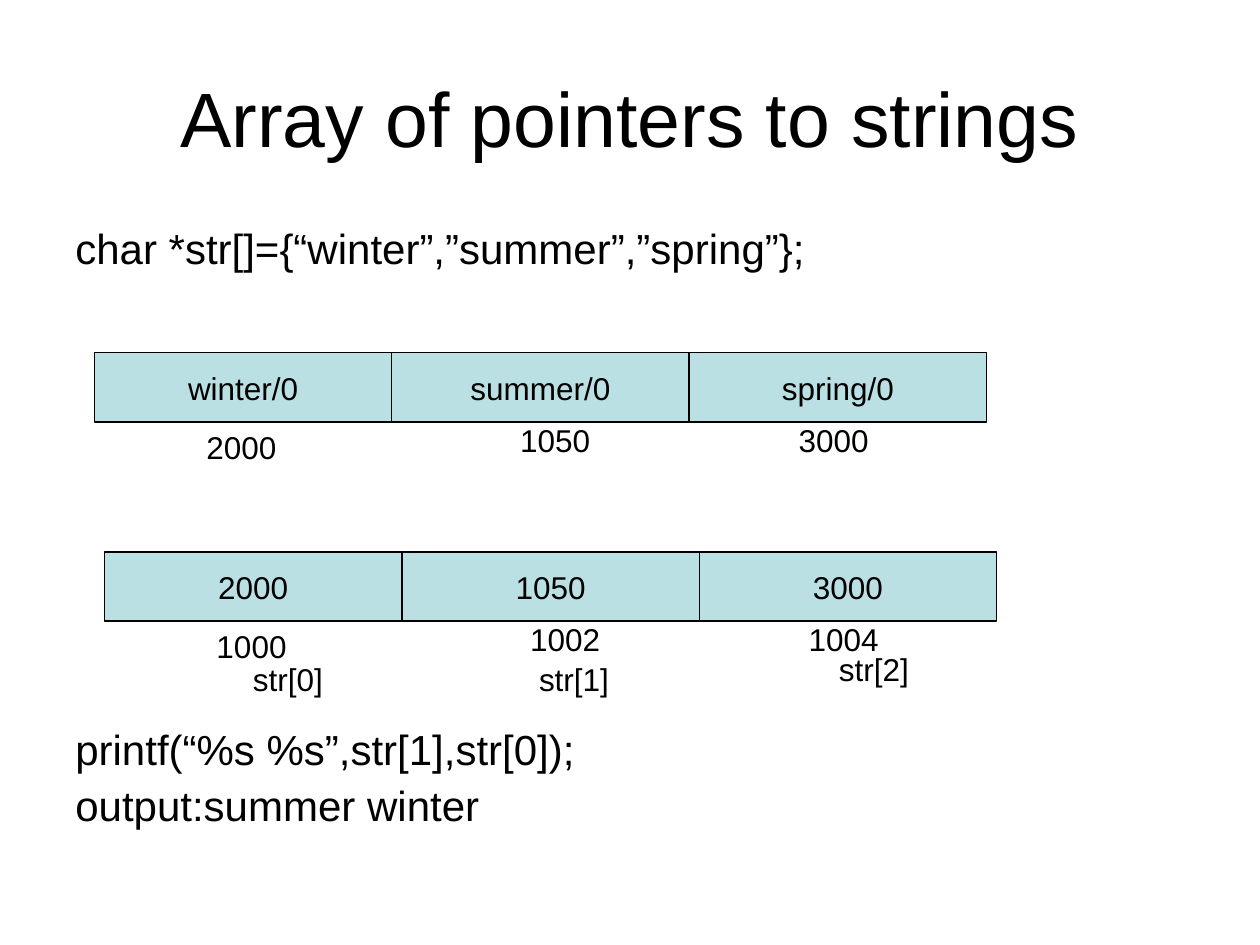
from pptx import Presentation
from pptx.dml.color import RGBColor
from pptx.enum import shapes, text
from pptx.util import Inches, Pt

BLACK = RGBColor(0x00, 0x00, 0x00)
PALE_TEAL = RGBColor(0xBB, 0xE0, 0xE3)
FONT = "Arial"

TITLE = "Array of pointers to strings"
# Code blocks: top, lines
CODE_BLOCKS = [
    (1.76, ["char *str[]={“winter”,”summer”,”spring”};"]),
    (5.74, ["printf(“%s %s”,str[1],str[0]);", "output:summer winter"]),
]
# Memory rows: left, top, cell contents, addresses below the cells
MEMORY_ROWS = [
    (0.75, 2.8, ["winter/0", "summer/0", "spring/0"], ["2000", "1050", "3000"]),
    (0.83, 4.38, ["2000", "1050", "3000"], ["1000", "1002", "1004"]),
]
# Address offsets from the row's left and top
ADDRESS_OFFSETS = [(0.79, 0.55), (3.28, 0.49), (5.49, 0.49)]
# Element names: text, left, top
ELEMENT_NAMES = [("str[0]", 1.91, 5.19), ("str[1]", 4.18, 5.19), ("str[2]", 6.56, 5.11)]
CELL_WIDTH, CELL_HEIGHT = 2.36, 0.55
LABEL_WIDTH, LABEL_HEIGHT = 0.8, 0.4


def write(shape, lines, size, align=text.PP_ALIGN.LEFT,
          anchor=text.MSO_ANCHOR.TOP):
    frame = shape.text_frame
    frame.text = "\n".join(lines)
    frame.word_wrap = True
    frame.vertical_anchor = anchor
    for paragraph in frame.paragraphs:
        paragraph.alignment = align
        for run in paragraph.runs:
            run.font.name = FONT
            run.font.size = Pt(size)
            run.font.color.rgb = BLACK
    return frame


def add_text(slide, left, top, width, height, lines, size, **options):
    box = slide.shapes.add_textbox(
        Inches(left), Inches(top), Inches(width), Inches(height))
    return write(box, lines, size, **options)


def add_label(slide, label, left, top):
    add_text(slide, left, top, LABEL_WIDTH, LABEL_HEIGHT, [label], 18)


def add_cell(slide, content, left, top):
    cell = slide.shapes.add_shape(
        shapes.MSO_SHAPE.RECTANGLE, Inches(left), Inches(top),
        Inches(CELL_WIDTH), Inches(CELL_HEIGHT))
    cell.shadow.inherit = False
    cell.fill.solid()
    cell.fill.fore_color.rgb = PALE_TEAL
    cell.line.color.rgb = BLACK
    cell.line.width = Pt(0.75)
    write(cell, [content], 18, text.PP_ALIGN.CENTER, text.MSO_ANCHOR.MIDDLE)


def main():
    presentation = Presentation()
    presentation.slide_width = Inches(10)
    presentation.slide_height = Inches(7.5)
    slide = presentation.slides.add_slide(presentation.slide_layouts[6])

    # Title
    add_text(slide, 0.5, 0.3, 9, 1.25, [TITLE], 44,
             align=text.PP_ALIGN.CENTER, anchor=text.MSO_ANCHOR.MIDDLE)

    # Code above and below the diagram
    for top, lines in CODE_BLOCKS:
        frame = add_text(slide, 0.5, top, 9, 0.5 * len(lines), lines, 24)
        for index, paragraph in enumerate(frame.paragraphs):
            paragraph.line_spacing = 0.9
            if index:
                paragraph.space_before = Pt(6)

    # Memory cells with their addresses
    for left, top, contents, addresses in MEMORY_ROWS:
        for column, content in enumerate(contents):
            add_cell(slide, content, left + column * CELL_WIDTH, top)
        for address, (across, down) in zip(addresses, ADDRESS_OFFSETS):
            add_label(slide, address, left + across, top + down)

    # Names of the array elements
    for name, left, top in ELEMENT_NAMES:
        add_label(slide, name, left, top)

    presentation.save("out.pptx")


if __name__ == "__main__":
    main()
